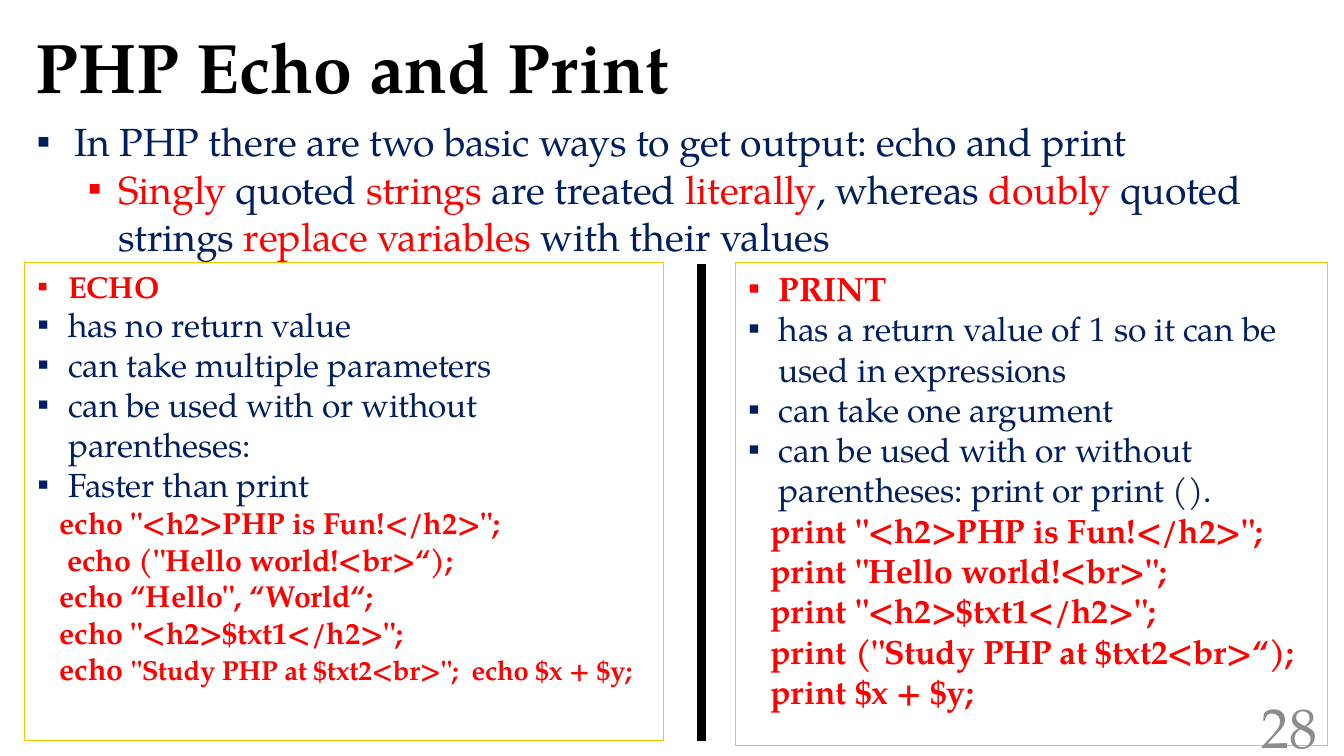
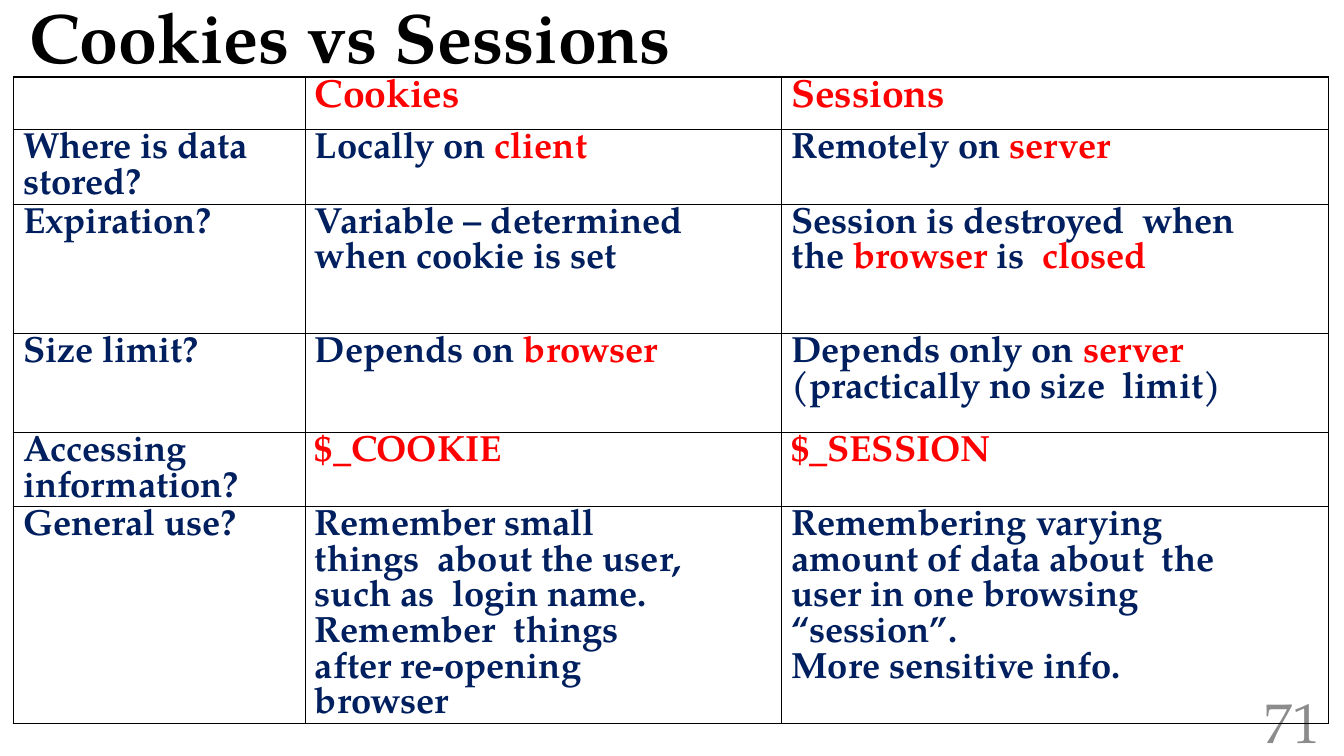
from lxml import etree
from pptx import Presentation
from pptx.dml.color import RGBColor
from pptx.enum.shapes import MSO_CONNECTOR, MSO_SHAPE
from pptx.enum.text import MSO_ANCHOR, MSO_AUTO_SIZE, PP_ALIGN
from pptx.oxml.ns import qn
from pptx.util import Pt

LEFT, RIGHT = PP_ALIGN.LEFT, PP_ALIGN.RIGHT
TOP, MIDDLE = MSO_ANCHOR.TOP, MSO_ANCHOR.MIDDLE
NO_FIT = MSO_AUTO_SIZE.NONE
RECT, STRAIGHT = MSO_SHAPE.RECTANGLE, MSO_CONNECTOR.STRAIGHT

FONT, BULLET_FONT = "TeX Gyre Pagella", "Arial"
COLORS = {"black": "000000", "white": "FFFFFF", "navy": "001F5F",
          "red": "FF0000", "gold": "FFC000", "grey": "8C8C8C"}
TITLE_ONLY, TITLE_BODY = 5, 1


def rgb(name):
    return RGBColor.from_string(COLORS[name])


def add_text(p, text, size=24, color="navy", bold=False, tracking=-10):
    """Add runs to a paragraph; parts between asterisks are red."""
    for i, part in enumerate(text.split("*")):
        if part:
            r = p.add_run()
            r.text = part
            r.font.name, r.font.size, r.font.bold = FONT, Pt(size), bold
            r.font.color.rgb = rgb("red" if i % 2 else color)
            r._r.get_or_add_rPr().set("spc", str(tracking))


class Deck:
    def __init__(self):
        self.prs = Presentation()
        self.prs.slide_width, self.prs.slide_height = Pt(960), Pt(540)
        self.s = None

    def slide(self, layout, title, x, y):
        self.s = self.prs.slides.add_slide(self.prs.slide_layouts[layout])
        tf = self.place(self.s.shapes.title, x, y, 931, 68, MIDDLE)
        self.para(tf, title, size=50, color="black", bold=True, tracking=0,
                  spacing=0.9)

    def place(self, sp, x, y, w, h, anchor=TOP):
        sp.left, sp.top, sp.width, sp.height = Pt(x), Pt(y), Pt(w), Pt(h)
        tf = sp.text_frame
        tf.word_wrap, tf.auto_size, tf.vertical_anchor = True, NO_FIT, anchor
        return tf

    def para(self, tf, text, bullet=False, margin=0, hang=0, level=0,
             align=LEFT, spacing=1.0, **fmt):
        p = tf.paragraphs[0]
        if p.runs:
            p = tf.add_paragraph()
        pPr = p._p.get_or_add_pPr()
        pPr.set("marL", str(Pt(margin)))
        pPr.set("indent", str(-Pt(hang)))
        if bullet:
            etree.SubElement(pPr, qn("a:buFont"), typeface=BULLET_FONT)
            etree.SubElement(pPr, qn("a:buChar"), char="▪")
        p.level, p.alignment, p.line_spacing = level, align, spacing
        p.space_before = p.space_after = Pt(0)
        add_text(p, text, **fmt)
        return p

    def body(self, x, y, w, h, items):
        tf = self.place(self.s.placeholders[1], x, y, w, h)
        for level, text in enumerate(items):
            self.para(tf, text, bullet=True, level=level, size=28,
                      margin=(28, 59.5)[level], hang=(27, 22)[level])

    def panel(self, x, y, w, h, heading, points, code, size, small):
        sp = self.s.shapes.add_shape(RECT, Pt(x), Pt(y), Pt(w), Pt(h))
        sp.shadow.inherit = False
        sp.fill.solid()
        sp.fill.fore_color.rgb = rgb("white")
        sp.line.color.rgb, sp.line.width = rgb("gold"), Pt(0.75)
        tf = self.place(sp, x, y, w, h)
        item = {"bullet": True, "margin": 24, "hang": 22}
        self.para(tf, heading, size=small, color="red", bold=True, **item)
        for text in points:
            self.para(tf, text, size=size, **item)
        for text, margin in code:
            p = self.para(tf, text, margin=margin, level=1, size=small,
                          color="red", bold=True)
        return p

    def divider(self, x, y1, y2):
        line = self.s.shapes.add_connector(STRAIGHT, Pt(x), Pt(y1), Pt(x), Pt(y2))
        line.line.color.rgb, line.line.width = rgb("black"), Pt(6)
        etree.SubElement(line._element.spPr, qn("a:effectLst"))

    def number(self, text, x, y):
        sp = self.s.shapes.add_textbox(Pt(x), Pt(y), Pt(216), Pt(29))
        tf = self.place(sp, x, y, 216, 29, MIDDLE)
        self.para(tf, text, size=40, color="grey", tracking=0, align=RIGHT)

    def table(self, x, y, columns, heights, insets, rows):
        frame = self.s.shapes.add_table(len(rows), len(columns), Pt(x), Pt(y),
                                        Pt(sum(columns)), Pt(sum(heights)))
        tbl = frame.table
        tbl.first_row = tbl.horz_banding = False
        for c, width in enumerate(columns):
            tbl.columns[c].width = Pt(width)
        for r, texts in enumerate(rows):
            tbl.rows[r].height = Pt(heights[r])
            for c, text in enumerate(texts):
                cell = tbl.cell(r, c)
                cell.margin_left = cell.margin_bottom = 0
                cell.margin_top, cell.margin_right = Pt(2), Pt(insets[c])
                cell.fill.background()
                self.borders(cell)
                for line in filter(None, text.split("\n")):
                    self.para(cell.text_frame, line, margin=7,
                              size=26 if r else 28, bold=True)

    def borders(self, cell):
        tcPr = cell._tc.get_or_add_tcPr()
        for i, side in enumerate(("lnL", "lnR", "lnT", "lnB")):
            ln = etree.Element(qn("a:" + side), w=str(Pt(1)))
            fill = etree.SubElement(ln, qn("a:solidFill"))
            etree.SubElement(fill, qn("a:srgbClr"), val=COLORS["black"])
            tcPr.insert(i, ln)


def echo_and_print(d):
    d.slide(TITLE_BODY, "PHP Echo and Print", 18, 16.5)
    d.body(18, 80.5, 931, 107, [
        "In PHP there are two basic ways to get output: echo and print",
        "*Singly* quoted *strings* are treated *literally*, whereas *doubly* "
        "quoted strings *replace variables* with their values"])

    # Two panels, with a bar between them
    last = d.panel(17.7, 187.7, 456.5, 341.3, "ECHO", [
        "has no return value",
        "can take multiple parameters",
        "can be used with or without parentheses:",
        "Faster than print",
    ], [
        ('echo "<h2>PHP is Fun!</h2>";', 18),
        ('echo ("Hello world!<br>“);', 23.5),
        ('echo “Hello", “World“;', 18),
        ('echo "<h2>$txt1</h2>";', 18),
        ("echo ", 18),
    ], size=23.8, small=21.7)
    add_text(last, '"Study PHP at $txt2<br>";  echo $x + $y;',
             size=19.6, color="red", bold=True)
    d.panel(525.2, 187.7, 423.3, 345, "PRINT", [
        "has a return value of 1 so it can be used in expressions",
        "can take one argument",
        "can be used with or without parentheses: print or print ().",
    ], [(text, 18) for text in (
        'print "<h2>PHP is Fun!</h2>";',
        'print "Hello world!<br>";',
        'print "<h2>$txt1</h2>";',
        'print ("Study PHP at $txt2<br>“);',
        "print $x + $y;")], size=24, small=24)
    d.divider(501, 188.5, 529)
    d.number("28", 732, 504)


def cookies_and_sessions(d):
    d.slide(TITLE_ONLY, "Cookies vs Sessions", 13.7, -5)
    d.number("71", 734.5, 500.5)

    # Comparison table
    d.table(9.5, 55, [208.5, 340.5, 390.5], [37.5, 53.5, 92.5, 70.5, 53, 155],
            [0, 60, 45], [
        ("", "*Cookies*", "*Sessions*"),
        ("Where is data stored?", "Locally on *client*", "Remotely on *server*"),
        ("Expiration?", "Variable – determined  when cookie is set",
         "Session is destroyed  when the *browser* is  *closed*"),
        ("Size limit?", "Depends on *browser*",
         "Depends only on *server*  (practically no size  limit)"),
        ("Accessing information?", "*$_COOKIE*", "*$_SESSION*"),
        ("General use?",
         "Remember small things  about the user, such as  login name. "
         "Remember  things after re-opening  browser",
         "Remembering varying  amount of data about  the user in one "
         "browsing “session”.\nMore sensitive info."),
    ])


def main():
    d = Deck()
    echo_and_print(d)
    cookies_and_sessions(d)
    d.prs.save("out.pptx")


if __name__ == "__main__":
    main()
